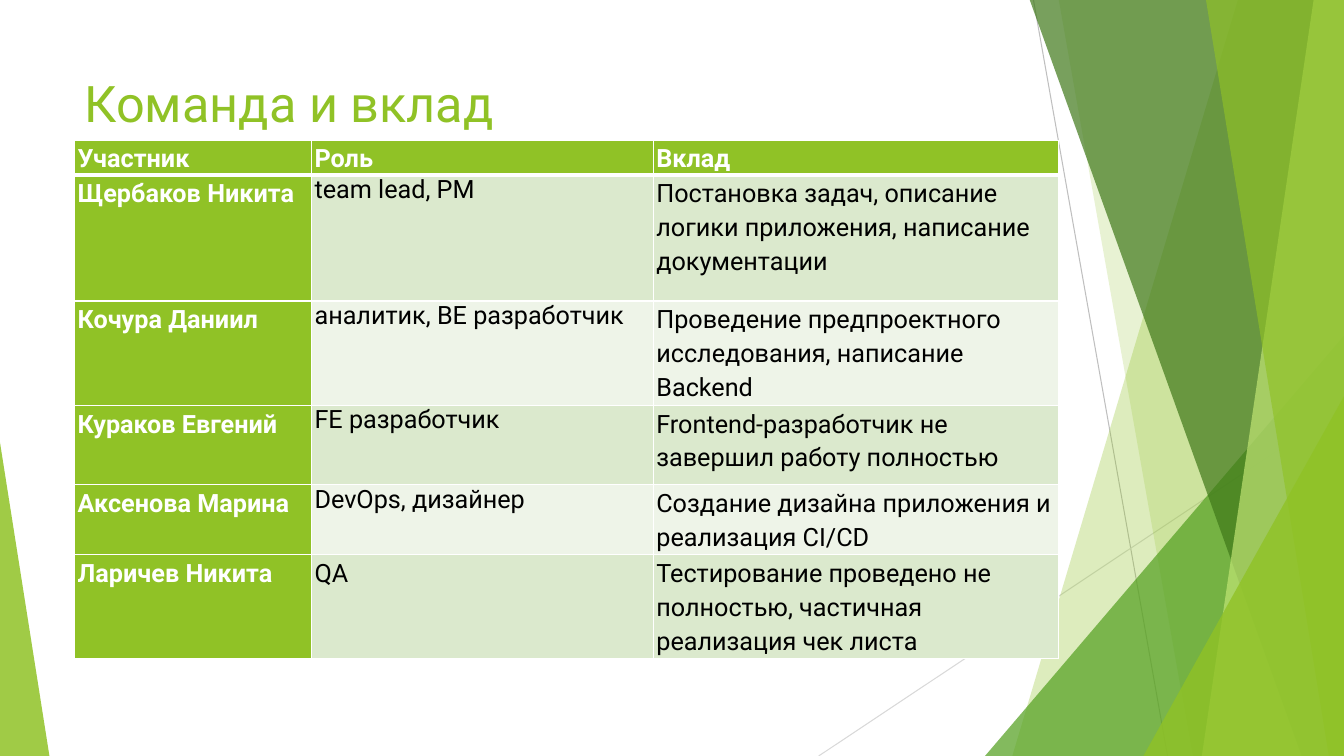
from lxml import etree
from pptx import Presentation
from pptx.dml.color import RGBColor
from pptx.enum import shapes, text
from pptx.oxml import ns
from pptx.util import Inches, Pt

COLORS = {
    "green": "90C226", "leaf": "54A021", "dark": "3F7819", "lime": "C0E474",
    "white": "FFFFFF", "black": "000000", "band": "DBE9CD", "pale": "EEF4E8",
    "gray": "BFBFBF", "silver": "D9D9D9",
}
FONT = "Roboto"


def add_child(parent, tag, **attributes):
    return etree.SubElement(parent, ns.qn(tag), attributes)


def write(paragraph, content, size, color, bold=False):
    run = paragraph.add_run()
    run.text = content
    for name, value in {"name": FONT, "size": Pt(size), "bold": bold}.items():
        setattr(run.font, name, value)
    run.font.color.rgb = RGBColor.from_string(COLORS[color])


presentation = Presentation()
presentation.slide_width, presentation.slide_height = Inches(13.33), Inches(7.5)
slide = presentation.slides.add_slide(presentation.slide_layouts[6])

# Thin lines behind the facets
for color, *ends in [("gray", 10.25, 0, 11.58, 7.5), ("silver", 13.33, 4.03, 8.12, 7.5)]:
    line = slide.shapes.add_connector(shapes.MSO_CONNECTOR.STRAIGHT, *map(Inches, ends))
    line.line.width = Pt(0.75)
    line.line.color.rgb = RGBColor.from_string(COLORS[color])
    add_child(line._element.spPr, "a:effectLst")

# Facets, back to front. Strip: top-left x, bottom-left x, running to the right edge.
# Triangle: left, top, width, height, apex position.
facets = [
    ("green", 30, (12.28, 10.04)),
    ("green", 20, (10.5, 11.83)),
    ("leaf", 72, (9.77, 3.33, 3.56, 4.17, 1)),
    ("dark", 70, (10.21, 12.91)),
    ("lime", 70, (13.03, 11.92)),
    ("green", 65, (11.96, 13.18)),
    ("green", 80, (11.34, 3.93, 1.99, 3.57, 1)),
    ("green", 85, (0, 4.39, 0.49, 3.11, 0)),
]
for color, opacity, outline in facets:
    if len(outline) == 2:
        top_x, bottom_x = outline
        builder = slide.shapes.build_freeform(Inches(top_x), Inches(-0.01))
        corners = [(13.33, -0.01), (13.33, 7.5), (bottom_x, 7.5)]
        builder.add_line_segments([(Inches(x), Inches(y)) for x, y in corners])
        shape = builder.convert_to_shape()
    else:
        *box, apex = outline
        shape = slide.shapes.add_shape(shapes.MSO_SHAPE.ISOSCELES_TRIANGLE, *map(Inches, box))
        shape.adjustments[0] = apex
    shape.shadow.inherit = False
    shape.line.fill.background()
    shape.fill.solid()
    shape.fill.fore_color.rgb = RGBColor.from_string(COLORS[color])
    fill_color = shape._element.spPr.find(".//" + ns.qn("a:srgbClr"))
    add_child(fill_color, "a:alpha", val=str(opacity * 1000))

title = slide.shapes.add_textbox(*map(Inches, (0.74, 0.67, 9.4, 1.44)))
title.text_frame.word_wrap = True
title.text_frame.vertical_anchor = text.MSO_ANCHOR.TOP
write(title.text_frame.paragraphs[0], "Команда и вклад", 36, "green")

team = [
    ("Участник", "Роль", "Вклад"),
    ("Щербаков Никита", "team lead, PM",
     "Постановка задач, описание логики приложения, написание документации"),
    ("Кочура Даниил", "аналитик, BE разработчик",
     "Проведение предпроектного исследования, написание Backend"),
    ("Кураков Евгений", "FE разработчик",
     "Frontend-разработчик не завершил работу полностью"),
    ("Аксенова Марина", "DevOps, дизайнер",
     "Создание дизайна приложения и реализация CI/CD"),
    ("Ларичев Никита", "QA",
     "Тестирование проведено не полностью, частичная реализация чек листа"),
]
column_widths = [2.35, 3.39, 4.02]
row_heights = [0.3, 1.25, 0.79, 0.79, 0.63, 0.91]
frame = slide.shapes.add_table(len(team), 3, *map(Inches, (0.74, 1.39, 9.77, 5.04)))
table = frame.table
for column, width in zip(table.columns, column_widths):
    column.width = Inches(width)
for row, height in zip(table.rows, row_heights):
    row.height = Inches(height)

cell_format = {
    "margin_left": Inches(0.03), "margin_right": Inches(0.03),
    "margin_top": 0, "margin_bottom": 0, "vertical_anchor": text.MSO_ANCHOR.TOP,
}
for r, member in enumerate(team):
    for c, content in enumerate(member):
        cell = table.cell(r, c)
        for name, value in cell_format.items():
            setattr(cell, name, value)
        heading = r == 0 or c == 0
        properties = cell._tc.get_or_add_tcPr()
        for side in "LRTB":
            thick = (r, side) in [(0, "B"), (1, "T")]
            border = add_child(properties, f"a:ln{side}", w=str(Pt(3 if thick else 1)))
            add_child(add_child(border, "a:solidFill"), "a:srgbClr", val=COLORS["white"])
        cell.fill.solid()
        fill = "green" if heading else "band" if r % 2 else "pale"
        cell.fill.fore_color.rgb = RGBColor.from_string(COLORS[fill])
        paragraph = cell.text_frame.paragraphs[0]
        if c != 1 or content in ("Роль", "QA"):
            paragraph.line_spacing = 1.15
            paragraph.space_after = Pt(10)
        write(paragraph, content, 18, "white" if heading else "black", heading)

presentation.save("out.pptx")
